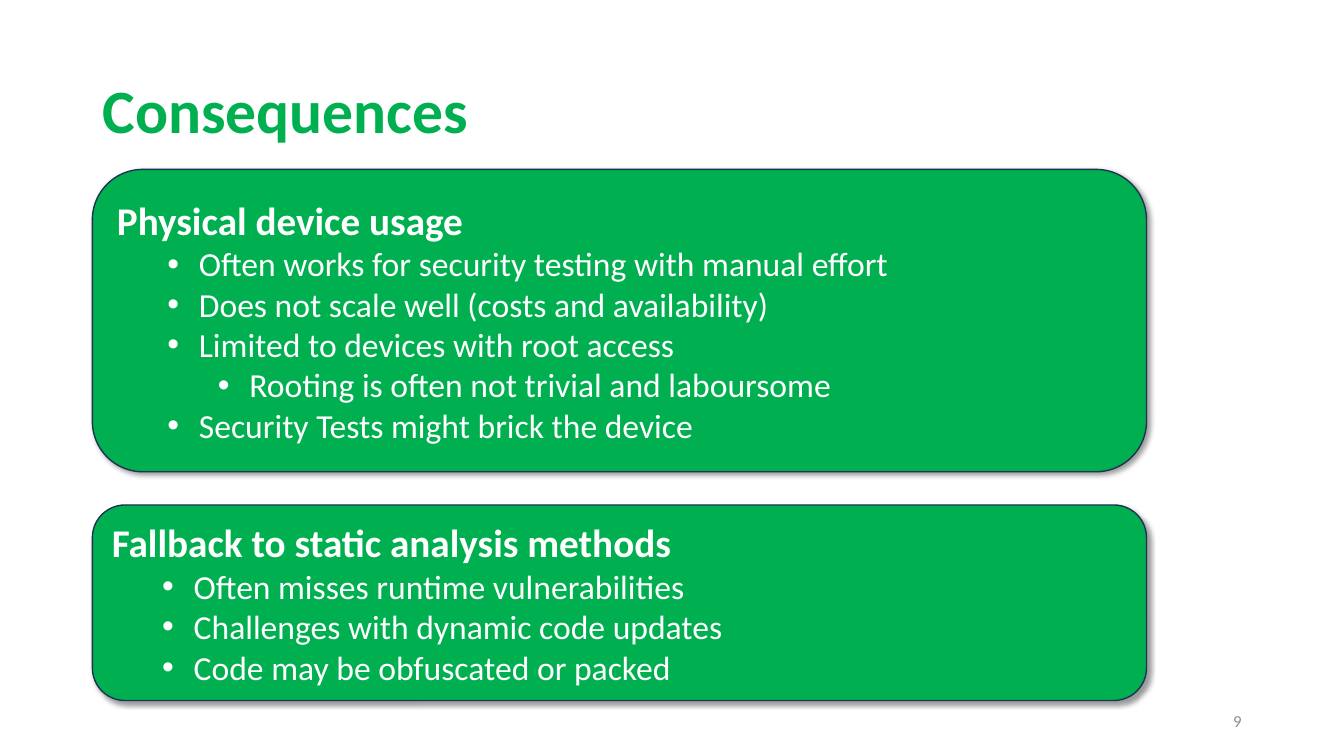
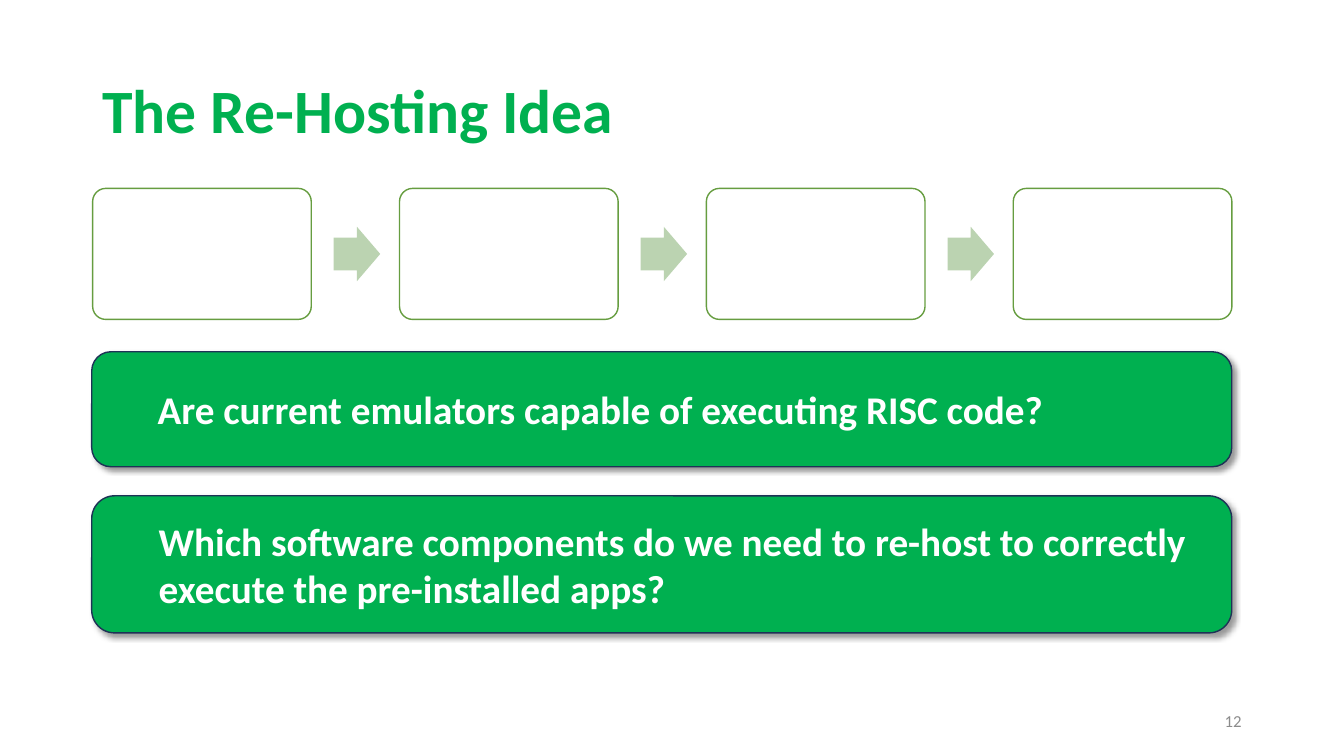
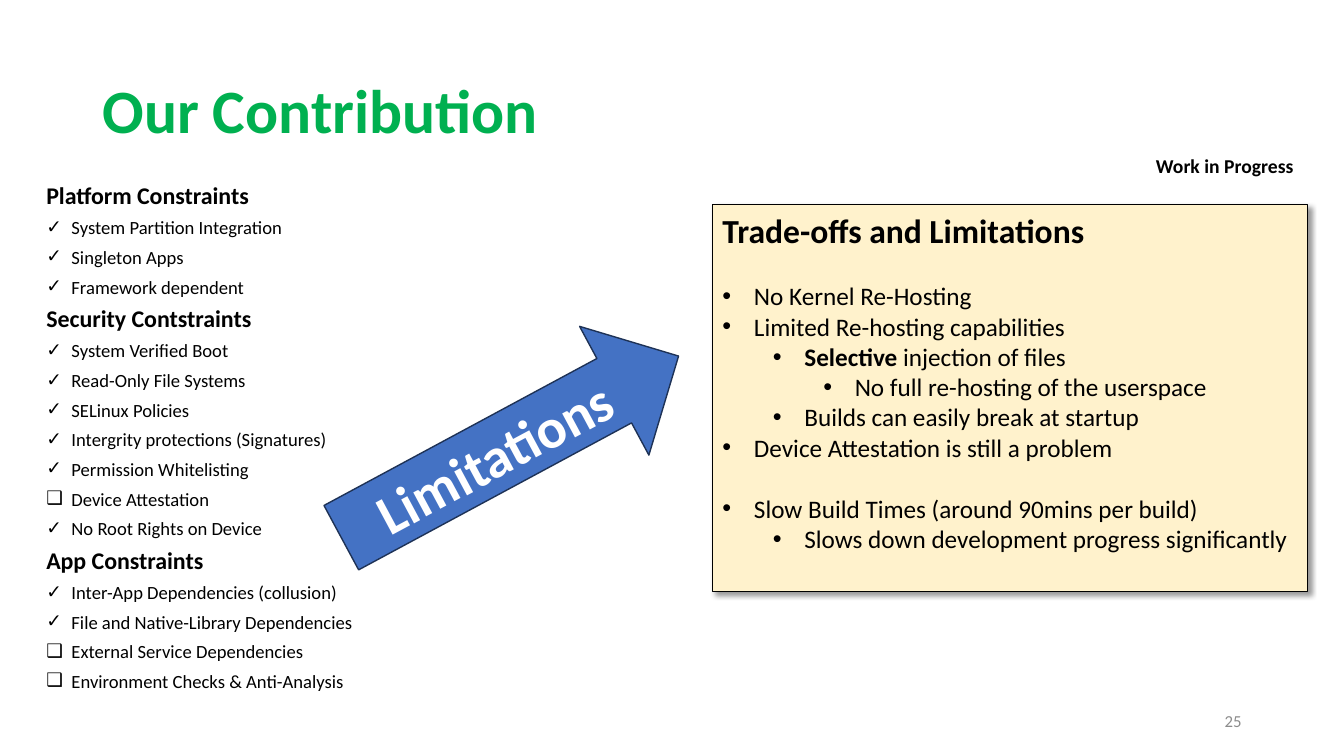
from lxml.etree import SubElement
from pptx import Presentation
from pptx.dml.color import RGBColor
from pptx.enum.shapes import MSO_SHAPE
from pptx.enum.text import MSO_ANCHOR, MSO_AUTO_SIZE, PP_ALIGN
from pptx.oxml.ns import qn
from pptx.util import Pt

FONT = "Calibri"
GREEN, NAVY, WHITE, BLACK = "00B050", "1E3256", "FFFFFF", "000000"
GRAY, BLUE, CREAM = "8C8C8C", "4472C4", "FFF2CC"
STEP_LINE, STEP_ARROW = "669D40", "BBD3B1"
DOT, CHECK, OPEN = "•", "✓", "❑"
LEVEL_INDENT = 36

TITLE_AT = (66, 28.75, 828, 104.4)
NUMBER_AT = (678, 500.5, 216, 28.8)

CONSEQUENCES = [
    ((66, 121, 753, 216), "Physical device usage", [
        (1, "Often works for security testing with manual effort"),
        (1, "Does not scale well (costs and availability)"),
        (1, "Limited to devices with root access"),
        (2, "Rooting is often not trivial and laboursome"),
        (1, "Security Tests might brick the device"),
    ]),
    ((66, 360.7, 753, 139.7), "Fallback to static analysis methods", [
        (1, "Often misses runtime vulnerabilities"),
        (1, "Challenges with dynamic code updates"),
        (1, "Code may be obfuscated or packed"),
    ]),
]

STEP_COUNT = 4
STEP_LEFT, STEP_TOP, STEP_W, STEP_H, STEP_PITCH = 66.2, 134.6, 156.2, 93.6, 219.2
ARROW_OFFSET, ARROW_W, ARROW_H = 172.2, 33.2, 38.8
QUESTIONS = [
    ((65.5, 251.3, 814.3, 82.1),
     "Are current emulators capable of executing RISC code?"),
    ((65.5, 354.2, 814.3, 97.9),
     "Which software components do we need to re-host to correctly "
     "execute the pre-installed apps?"),
]

CONSTRAINTS = [
    ("Platform Constraints", [
        (CHECK, "System Partition Integration"),
        (CHECK, "Singleton Apps"),
        (CHECK, "Framework dependent"),
    ]),
    ("Security Contstraints", [
        (CHECK, "System Verified Boot"),
        (CHECK, "Read-Only File Systems"),
        (CHECK, "SELinux Policies"),
        (CHECK, "Intergrity protections (Signatures)"),
        (CHECK, "Permission Whitelisting"),
        (OPEN, "Device Attestation"),
        (CHECK, "No Root Rights on Device"),
    ]),
    ("App Constraints", [
        (CHECK, "Inter-App Dependencies (collusion)"),
        (CHECK, "File and Native-Library Dependencies"),
        (OPEN, "External Service Dependencies"),
        (OPEN, "Environment Checks & Anti-Analysis"),
    ]),
]
LIMITATIONS = [
    (0, "No Kernel Re-Hosting", 22),
    (0, "Limited Re-hosting capabilities", 0),
    (1, [("Selective", True), (" injection of files", False)], 0),
    (2, "No full re-hosting of the userspace", 0),
    (1, "Builds can easily break at startup", 0),
    (0, "Device Attestation is still a problem", 0),
    (0, "Slow Build Times (around 90mins per build)", 22),
    (1, "Slows down development progress significantly", 0),
]


def rgb(color):
    return RGBColor.from_string(color)


def points(at):
    return [Pt(v) for v in at]


def add_text(tf, text, size=18, color=BLACK, bold=False, align=PP_ALIGN.LEFT,
             level=0, bullet=None, hang=22.5, before=0, spacing=1.0):
    p = tf.paragraphs[0]
    if p.runs:
        p = tf.add_paragraph()
    else:
        before = 0
    pPr = p._p.get_or_add_pPr()
    margin = level * LEVEL_INDENT + (hang if bullet else 0)
    pPr.set("marL", str(Pt(margin)))
    pPr.set("indent", str(-Pt(hang) if bullet else 0))
    if bullet:
        SubElement(pPr, qn("a:buFont"), typeface="Arial")
        SubElement(pPr, qn("a:buChar"), char=bullet)
    p.level = level
    p.alignment = align
    p.line_spacing = spacing
    p.space_before = Pt(before)
    for part, strong in [(text, bold)] if isinstance(text, str) else text:
        r = p.add_run()
        r.text = part
        r.font.name = FONT
        r.font.size = Pt(size)
        r.font.bold = strong
        r.font.color.rgb = rgb(color)


def add_box(shapes, kind, at, fill, line=None, adj=(), shadow=False,
            anchor=MSO_ANCHOR.MIDDLE):
    sp = shapes.add_shape(kind, *points(at))
    for i, value in enumerate(adj):
        sp.adjustments[i] = value
    sp.fill.solid()
    sp.fill.fore_color.rgb = rgb(fill)
    if line:
        sp.line.color.rgb = rgb(line)
        sp.line.width = Pt(1)
    else:
        sp.line.fill.background()
    sp.shadow.inherit = False
    if shadow:
        effects = sp._element.spPr.find(qn("a:effectLst"))
        outer = SubElement(effects, qn("a:outerShdw"), blurRad=str(Pt(4)),
                           dist=str(Pt(3)), dir="2700000", algn="tl",
                           rotWithShape="0")
        clr = SubElement(outer, qn("a:srgbClr"), val=BLACK)
        SubElement(clr, qn("a:alpha"), val="40000")
    tf = sp.text_frame
    tf.word_wrap = True
    tf.vertical_anchor = anchor
    return sp


def add_panel(s, at):
    return add_box(s.shapes, MSO_SHAPE.ROUNDED_RECTANGLE, at, GREEN, NAVY,
                   shadow=True).text_frame


def add_label(s, at, wrap=True, anchor=MSO_ANCHOR.TOP):
    tf = s.shapes.add_textbox(*points(at)).text_frame
    tf.word_wrap = wrap
    tf.vertical_anchor = anchor
    return tf


def add_slide(prs, title, number):
    s = prs.slides.add_slide(prs.slide_layouts[5])
    sp = s.shapes.title
    sp.left, sp.top, sp.width, sp.height = points(TITLE_AT)
    tf = sp.text_frame
    tf.auto_size = MSO_AUTO_SIZE.NONE
    tf.vertical_anchor = MSO_ANCHOR.MIDDLE
    add_text(tf, title, size=44, color=GREEN, bold=True, spacing=0.9)
    add_text(add_label(s, NUMBER_AT, anchor=MSO_ANCHOR.MIDDLE), str(number),
             size=12, color=GRAY, align=PP_ALIGN.RIGHT)
    return s


def consequences(prs):
    s = add_slide(prs, "Consequences", 9)
    for at, heading, items in CONSEQUENCES:
        tf = add_panel(s, at)
        add_text(tf, heading, size=28, color=WHITE, bold=True)
        for level, text in items:
            add_text(tf, text, size=24, color=WHITE, level=level, bullet=DOT)


def rehosting(prs):
    s = add_slide(prs, "The Re-Hosting Idea", 12)
    flow = s.shapes.add_group_shape().shapes
    arrow_top = STEP_TOP + (STEP_H - ARROW_H) / 2
    for i in range(STEP_COUNT):
        left = STEP_LEFT + i * STEP_PITCH
        add_box(flow, MSO_SHAPE.ROUNDED_RECTANGLE,
                (left, STEP_TOP, STEP_W, STEP_H), WHITE, STEP_LINE, adj=(0.1,))
        if i < STEP_COUNT - 1:
            add_box(flow, MSO_SHAPE.RIGHT_ARROW,
                    (left + ARROW_OFFSET, arrow_top, ARROW_W, ARROW_H),
                    STEP_ARROW, adj=(0.6, 0.5))
    for at, text in QUESTIONS:
        add_text(add_panel(s, at), text, size=28, color=WHITE, bold=True, level=1)


def contribution(prs):
    s = add_slide(prs, "Our Contribution", 25)
    tf = add_label(s, (26, 131, 299.5, 385))
    rhythm = dict(before=10, spacing=0.7)
    for heading, items in CONSTRAINTS:
        add_text(tf, heading, size=17.1, bold=True, **rhythm)
        for mark, text in items:
            add_text(tf, text, size=13.3, bullet=mark, hang=18, **rhythm)

    tf = add_box(s.shapes, MSO_SHAPE.RECTANGLE, (509, 146.2, 424.8, 276.5),
                 CREAM, BLACK, shadow=True, anchor=MSO_ANCHOR.TOP).text_frame
    add_text(tf, "Trade-offs and Limitations", size=24, bold=True)
    for level, text, before in LIMITATIONS:
        add_text(tf, text, level=level, bullet=DOT, before=before)

    arrow = add_box(s.shapes, MSO_SHAPE.RIGHT_ARROW, (227.5, 267, 273.6, 104.4),
                    BLUE, NAVY)
    arrow.rotation = 331.7
    add_text(arrow.text_frame, "Limitations", size=40, color=WHITE, bold=True,
             align=PP_ALIGN.CENTER)
    add_text(add_label(s, (818.6, 106.6, 113.8, 24.5), wrap=False),
             "Work in Progress", size=14, bold=True)


def main():
    prs = Presentation()
    prs.slide_width, prs.slide_height = Pt(960), Pt(540)
    for build in (consequences, rehosting, contribution):
        build(prs)
    prs.save("out.pptx")


if __name__ == "__main__":
    main()
